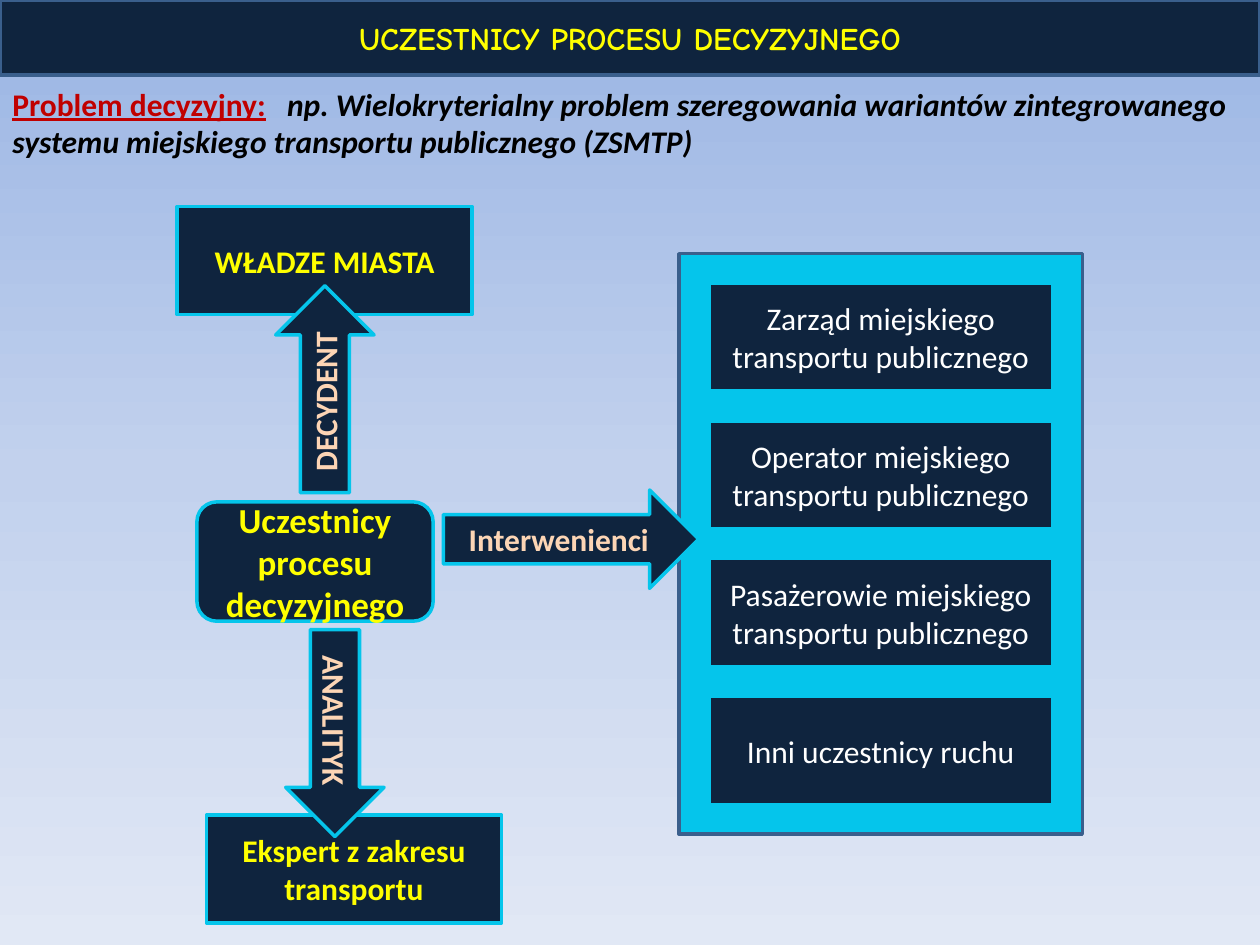
from copy import deepcopy
from pptx import Presentation
from pptx import util as u
from pptx.dml.color import RGBColor
from pptx.enum import shapes, text
from pptx.oxml import parse_xml
from pptx.oxml.ns import nsdecls

NAVY, CYAN, BLUE = "0F243E", "05C5EB", "3A5F8C"
YELLOW, PEACH, WHITE = "FFFF00", "FCD5B5", "FFFFFF"
BACKGROUND = [(0, "9AB5E4"), (0.5, "C2D1ED"), (1, "E1E8F5")]

TITLE = "UCZESTNICY PROCESU DECYZYJNEGO"
PROBLEM_LABEL = "Problem decyzyjny:\t"
PROBLEM = ("np. Wielokryterialny problem szeregowania wariantów zintegrowanego "
           "systemu miejskiego transportu publicznego (ZSMTP)")
STAKEHOLDERS = [
    "Zarząd miejskiego transportu publicznego",
    "Operator miejskiego transportu publicznego",
    "Pasażerowie miejskiego transportu publicznego",
    "Inni uczestnicy ruchu",
]
# Text, left, top
ROLES = [("WŁADZE MIASTA", 101.2, 118), ("Ekspert z zakresu transportu", 118, 465.7)]
# Text, left, top, width, rotation
ARROWS = [
    ("Interwenienci", 253.3, 280, 146, 0),
    ("DECYDENT", 126.5, 194.3, 118.3, 270),
    ("ANALITYK", 132.2, 390.8, 118.3, 90),
]
ROLE_WIDTH, STAKEHOLDER_WIDTH, BOX_HEIGHT, ARROW_HEIGHT = 168.6, 196.2, 61.8, 56.2
STAKEHOLDER_LEFT, STAKEHOLDER_TOP, STAKEHOLDER_STEP = 405.2, 161.7, 78.75


def color(value):
    return RGBColor.from_string(value)


def add_run(paragraph, words, ink, size=18, font="Calibri", **style):
    run = paragraph.add_run()
    run.text = words
    run.font.size, run.font.name = u.Pt(size), font
    run.font.color.rgb = color(ink)
    for name, value in style.items():
        setattr(run.font, name, value)


def add_block(slide, kind, left, top, width, height, fill=NAVY, line=CYAN):
    shape = slide.shapes.add_shape(kind, *map(u.Pt, (left, top, width, height)))
    shape.shadow.inherit = False
    shape.fill.solid()
    shape.fill.fore_color.rgb = color(fill)
    shape.line.color.rgb = color(line)
    shape.line.width = u.Pt(2)
    return shape


def centre_text(shape, words, ink, **style):
    frame = shape.text_frame
    frame.word_wrap = True
    frame.vertical_anchor = text.MSO_ANCHOR.MIDDLE
    paragraph = frame.paragraphs[0]
    paragraph.alignment = text.PP_ALIGN.CENTER
    add_run(paragraph, words, ink, **style)
    return paragraph


def paint_background(slide):
    fill = slide.background.fill
    fill.gradient()
    fill.gradient_angle = 270
    stop_list = slide.background._cSld.bg.bgPr.find(".//{*}gsLst")
    stop_list.append(deepcopy(stop_list[-1]))
    for stop, (position, value) in zip(fill.gradient_stops, BACKGROUND):
        stop.position = position
        stop.color.rgb = color(value)


def main():
    presentation = Presentation()
    presentation.slide_width, presentation.slide_height = u.Pt(720), u.Pt(540)
    slide = presentation.slides.add_slide(presentation.slide_layouts[6])
    paint_background(slide)
    kinds = shapes.MSO_SHAPE

    # Panel of stakeholders
    add_block(slide, kinds.RECTANGLE, 388, 145, 230.5, 331.7, CYAN, BLUE)
    for row, words in enumerate(STAKEHOLDERS):
        box = add_block(slide, kinds.RECTANGLE, STAKEHOLDER_LEFT,
                        STAKEHOLDER_TOP + row * STAKEHOLDER_STEP,
                        STAKEHOLDER_WIDTH, BOX_HEIGHT)
        centre_text(box, words, WHITE)

    # Roles, central box and the arrows between them
    for words, left, top in ROLES:
        box = add_block(slide, kinds.RECTANGLE, left, top, ROLE_WIDTH, BOX_HEIGHT)
        centre_text(box, words, YELLOW, bold=True)
    centre = add_block(slide, kinds.ROUNDED_RECTANGLE, 112.5, 286.8, 135, 68.2)
    centre_text(centre, "Uczestnicy procesu decyzyjnego", YELLOW, size=20, bold=True)
    for words, left, top, width, rotation in ARROWS:
        arrow = add_block(slide, kinds.RIGHT_ARROW, left, top, width, ARROW_HEIGHT)
        arrow.rotation = rotation
        centre_text(arrow, words, PEACH, bold=True)

    # Title bar with a hanging indent
    bar = add_block(slide, kinds.RECTANGLE, 0, 0, 720, 43, line=BLUE)
    paragraph = centre_text(bar, TITLE, YELLOW, font="Comic Neue", bold=True)
    properties = paragraph._p.get_or_add_pPr()
    properties.set("marL", str(u.Pt(27)))
    properties.set("indent", str(-u.Pt(27)))

    # Problem statement, its second part starting at a tab stop
    box = slide.shapes.add_textbox(u.Pt(0), u.Pt(44.8), u.Pt(720), u.Pt(50.9))
    frame = box.text_frame
    frame.word_wrap = True
    frame.auto_size = text.MSO_AUTO_SIZE.SHAPE_TO_FIT_TEXT
    paragraph = frame.paragraphs[0]
    paragraph._p.get_or_add_pPr().append(parse_xml(
        f'<a:tabLst {nsdecls("a")}><a:tab pos="{u.Pt(157)}" algn="l"/></a:tabLst>'))
    add_run(paragraph, PROBLEM_LABEL, "C00000", bold=True, underline=True)
    add_run(paragraph, PROBLEM, "000000", bold=True, italic=True)

    presentation.save("out.pptx")


if __name__ == "__main__":
    main()
